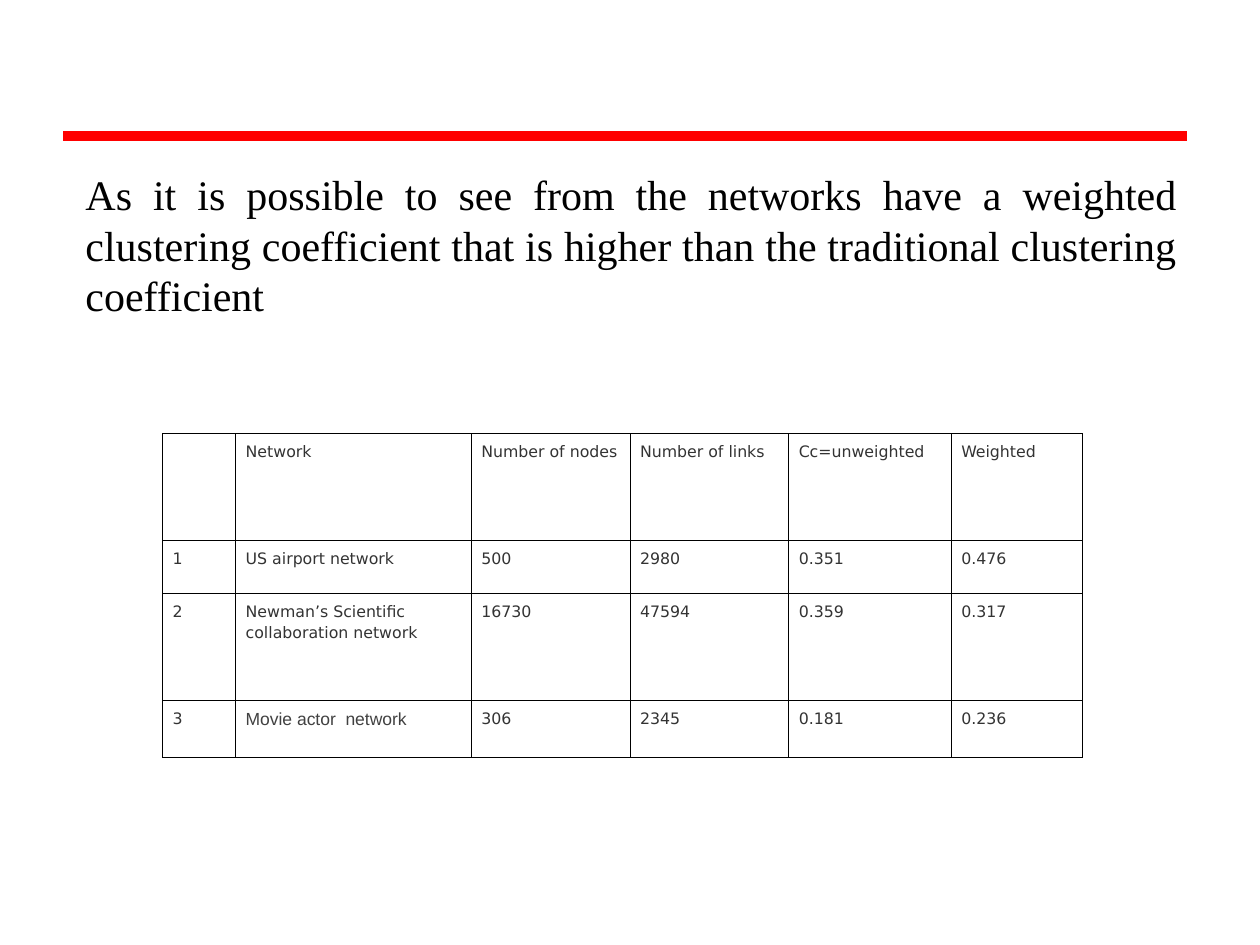
from dataclasses import dataclass

from lxml import etree
from pptx import Presentation
from pptx import util as u
from pptx.dml.color import RGBColor
from pptx.enum import shapes, text
from pptx.oxml.ns import qn


@dataclass(frozen=True)
class TextStyle:
    font: str
    size: float
    color: str


@dataclass(frozen=True)
class Theme:
    statement: TextStyle = TextStyle("Times New Roman", 24, "000000")
    cell: TextStyle = TextStyle("DejaVu Sans", 9, "333333")
    movie: TextStyle = TextStyle("Arial", 10, "414141")
    rule: str = "FF0000"
    rule_width: float = 6
    border: str = "000000"
    border_width: float = 0.45


@dataclass(frozen=True)
class Network:
    number: str
    name: str
    nodes: str
    links: str
    unweighted: str
    weighted: str
    name_style: TextStyle

    def values(self) -> list[str]:
        return [self.number, self.name, self.nodes, self.links,
                self.unweighted, self.weighted]


THEME = Theme()
STATEMENT = ("As it is possible to see from the networks have a weighted clustering "
             "coefficient that is higher than the traditional clustering coefficient")
NETWORKS = [
    Network("", "Network", "Number of nodes", "Number of links",
            "Cc=unweighted", "Weighted", THEME.cell),
    Network("1", "US airport network", "500", "2980", "0.351", "0.476", THEME.cell),
    Network("2", "Newman’s Scientific collaboration network", "16730", "47594",
            "0.359", "0.317", THEME.cell),
    Network("3", "Movie actor  network", "306", "2345", "0.181", "0.236", THEME.movie),
]
NAME_COLUMN = 1
COLUMN_WIDTHS = [0.58, 1.87, 1.26, 1.26, 1.29, 1.04]
ROW_HEIGHTS = [0.85, 0.42, 0.85, 0.45]


def add_run(paragraph, wording: str, style: TextStyle) -> None:
    run = paragraph.add_run()
    run.text = wording
    run.font.name = style.font
    run.font.size = u.Pt(style.size)
    run.font.color.rgb = RGBColor.from_string(style.color)


def add_rule(slide) -> None:
    rule = slide.shapes.add_connector(
        shapes.MSO_CONNECTOR.STRAIGHT,
        u.Inches(0.5), u.Inches(1.08), u.Inches(9.42), u.Inches(1.08))
    rule.line.color.rgb = RGBColor.from_string(THEME.rule)
    rule.line.width = u.Pt(THEME.rule_width)
    etree.SubElement(rule._element.spPr, qn("a:effectLst"))


def add_borders(cell) -> None:
    properties = cell._tc.get_or_add_tcPr()
    for index, side in enumerate(("a:lnL", "a:lnR", "a:lnT", "a:lnB")):
        border = etree.Element(qn(side), w=str(u.Pt(THEME.border_width)))
        fill = etree.SubElement(border, qn("a:solidFill"))
        etree.SubElement(fill, qn("a:srgbClr"), val=THEME.border)
        properties.insert(index, border)


def fill_cell(cell, wording: str, style: TextStyle) -> None:
    cell.margin_left = cell.margin_right = u.Inches(0.08)
    cell.margin_top = cell.margin_bottom = u.Inches(0.05)
    cell.fill.background()
    add_borders(cell)
    if wording:
        paragraph = cell.text_frame.paragraphs[0]
        paragraph.line_spacing = 1.15
        paragraph.space_after = u.Pt(10)
        add_run(paragraph, wording, style)


def add_network_table(slide) -> None:
    table = slide.shapes.add_table(
        len(NETWORKS), len(COLUMN_WIDTHS), u.Inches(1.29), u.Inches(3.44),
        u.Inches(sum(COLUMN_WIDTHS)), u.Inches(sum(ROW_HEIGHTS))).table
    table.first_row = table.horz_banding = False
    for column, width in zip(table.columns, COLUMN_WIDTHS):
        column.width = u.Inches(width)
    for row, height, network in zip(table.rows, ROW_HEIGHTS, NETWORKS):
        row.height = u.Inches(height)
        for index, (cell, value) in enumerate(zip(row.cells, network.values())):
            style = network.name_style if index == NAME_COLUMN else THEME.cell
            fill_cell(cell, value, style)


def add_statement(slide) -> None:
    statement = slide.shapes.add_textbox(
        u.Inches(0.58), u.Inches(1.29), u.Inches(8.86), u.Inches(3.3))
    frame = statement.text_frame
    frame.word_wrap = True
    paragraph = frame.paragraphs[0]
    paragraph.alignment = text.PP_ALIGN.JUSTIFY
    add_run(paragraph, STATEMENT, THEME.statement)


def main() -> None:
    deck = Presentation()
    deck.slide_width = u.Inches(10)
    deck.slide_height = u.Inches(7.5)
    slide = deck.slides.add_slide(deck.slide_layouts[6])
    add_rule(slide)
    add_network_table(slide)
    add_statement(slide)
    deck.save("out.pptx")


if __name__ == "__main__":
    main()
